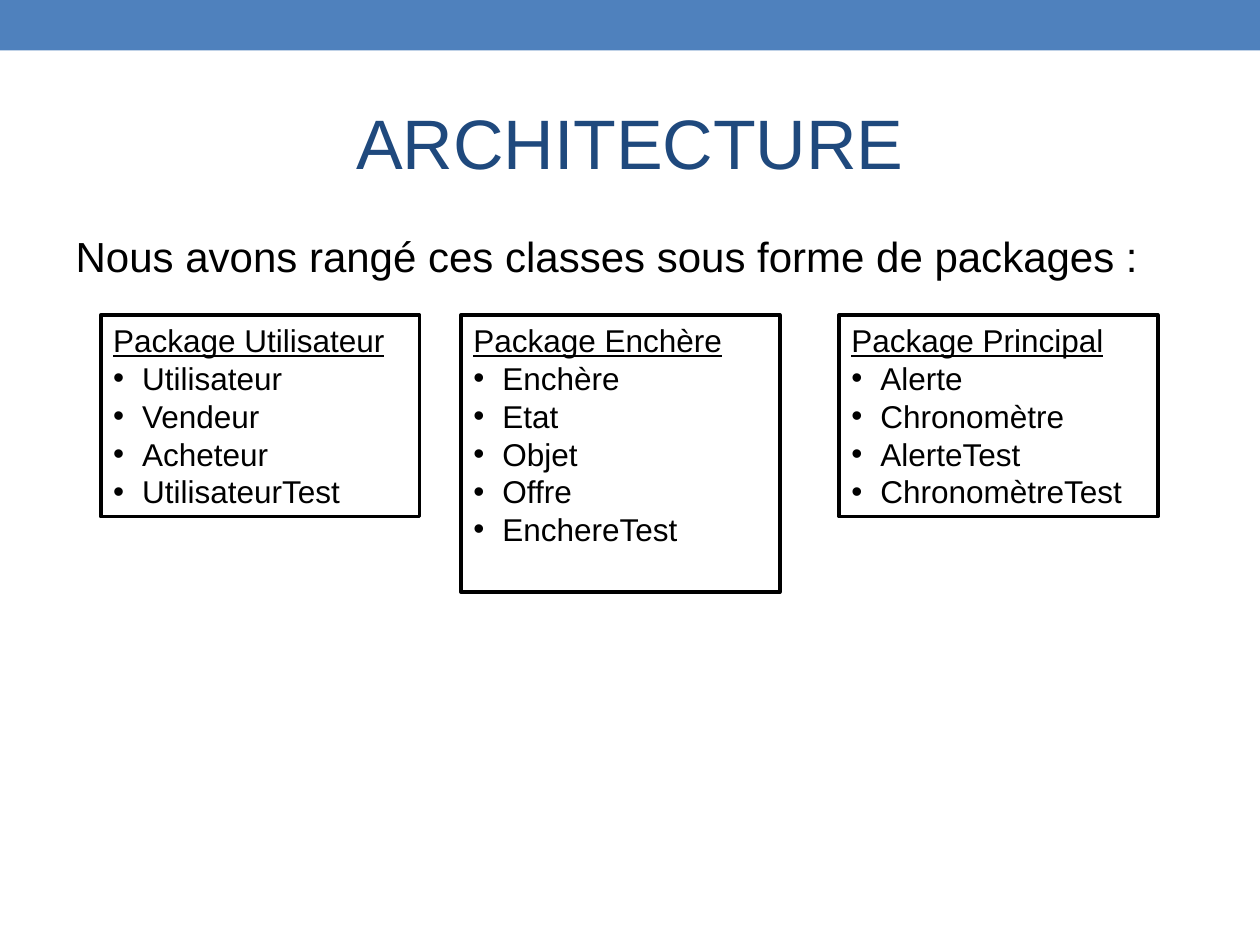
from lxml import etree
from pptx import Presentation
from pptx.dml.color import RGBColor
from pptx.enum import shapes, text
from pptx.oxml.ns import qn
from pptx.util import Inches, Pt

BLACK = RGBColor(0x00, 0x00, 0x00)
WHITE = RGBColor(0xFF, 0xFF, 0xFF)
BLUE = RGBColor(0x4F, 0x81, 0xBD)
NAVY = RGBColor(0x1F, 0x49, 0x7D)

FONT = "Arial"
BOX_TOP, BOX_WIDTH = 2.5, 2.53
LINE_HEIGHT, BOX_PADDING = 0.3, 0.1
BULLET_INDENT = 0.23

# Left edge, number of text lines the box has room for, heading, classes
PACKAGES = [
    (0.8, 5, "Package Utilisateur",
     ["Utilisateur", "Vendeur", "Acheteur", "UtilisateurTest"]),
    (3.66, 7, "Package Enchère",
     ["Enchère", "Etat", "Objet", "Offre", "EnchereTest"]),
    (6.66, 5, "Package Principal",
     ["Alerte", "Chronomètre", "AlerteTest", "ChronomètreTest"]),
]


def set_attributes(target, values):
    for name, value in values.items():
        setattr(target, name, value)


def write_paragraph(paragraph, content, size, color, underline=False,
                    align=text.PP_ALIGN.LEFT):
    paragraph.text = content
    set_attributes(paragraph, {"alignment": align, "space_before": Pt(0)})
    set_attributes(paragraph.runs[0].font, {
        "name": FONT, "size": Pt(size), "underline": underline})
    paragraph.runs[0].font.color.rgb = color


def set_bullet(paragraph, character=None, indent=0):
    """Give a hanging bullet, or remove the inherited one if no character is given."""
    properties = paragraph._p.get_or_add_pPr()
    properties.set("marL", str(Inches(indent)))
    properties.set("indent", str(-Inches(indent)))
    if character:
        font = etree.SubElement(properties, qn("a:buFont"))
        font.set("typeface", FONT)
        etree.SubElement(properties, qn("a:buChar")).set("char", character)
    else:
        etree.SubElement(properties, qn("a:buNone"))


def place(shape, left, top, width, height):
    set_attributes(shape, {
        "left": Inches(left), "top": Inches(top),
        "width": Inches(width), "height": Inches(height)})


def add_rectangle(slide, left, top, width, height, fill):
    shape = slide.shapes.add_shape(
        shapes.MSO_SHAPE.RECTANGLE,
        Inches(left), Inches(top), Inches(width), Inches(height))
    shape.shadow.inherit = False
    shape.fill.solid()
    shape.fill.fore_color.rgb = fill
    shape.line.fill.background()
    return shape


def fill_title(slide, content):
    title = slide.shapes.title
    place(title, 0.5, 0.58, 9, 1.08)
    set_attributes(title.text_frame, {
        "vertical_anchor": text.MSO_ANCHOR.MIDDLE,
        "auto_size": text.MSO_AUTO_SIZE.NONE})
    write_paragraph(title.text_frame.paragraphs[0], content, 40, NAVY,
                    align=text.PP_ALIGN.CENTER)


def fill_introduction(slide, content):
    body = slide.placeholders[1]
    place(body, 0.5, 1.75, 9, 0.75)
    set_attributes(body.text_frame, {
        "margin_top": Inches(0.08),
        "auto_size": text.MSO_AUTO_SIZE.NONE})
    paragraph = body.text_frame.paragraphs[0]
    set_bullet(paragraph)
    write_paragraph(paragraph, content, 24, BLACK)


def add_package(slide, left, line_count, heading, classes):
    height = line_count * LINE_HEIGHT + BOX_PADDING
    box = add_rectangle(slide, left, BOX_TOP, BOX_WIDTH, height, WHITE)
    box.line.color.rgb = BLACK
    box.line.width = Pt(2.07)
    frame = box.text_frame
    set_attributes(frame, {
        "word_wrap": True, "vertical_anchor": text.MSO_ANCHOR.TOP})
    write_paragraph(frame.paragraphs[0], heading, 18, BLACK, underline=True)
    for class_name in classes:
        paragraph = frame.add_paragraph()
        set_bullet(paragraph, "•", BULLET_INDENT)
        write_paragraph(paragraph, class_name, 18, BLACK)


def main():
    presentation = Presentation()
    set_attributes(presentation, {
        "slide_width": Inches(10), "slide_height": Inches(7.5)})
    slide = presentation.slides.add_slide(presentation.slide_layouts[1])
    add_rectangle(slide, 0, 0, 10, 0.4, BLUE)
    fill_title(slide, "ARCHITECTURE")
    fill_introduction(
        slide, "Nous avons rangé ces classes sous forme de packages :")
    for package in PACKAGES:
        add_package(slide, *package)
    presentation.save("out.pptx")


if __name__ == "__main__":
    main()
